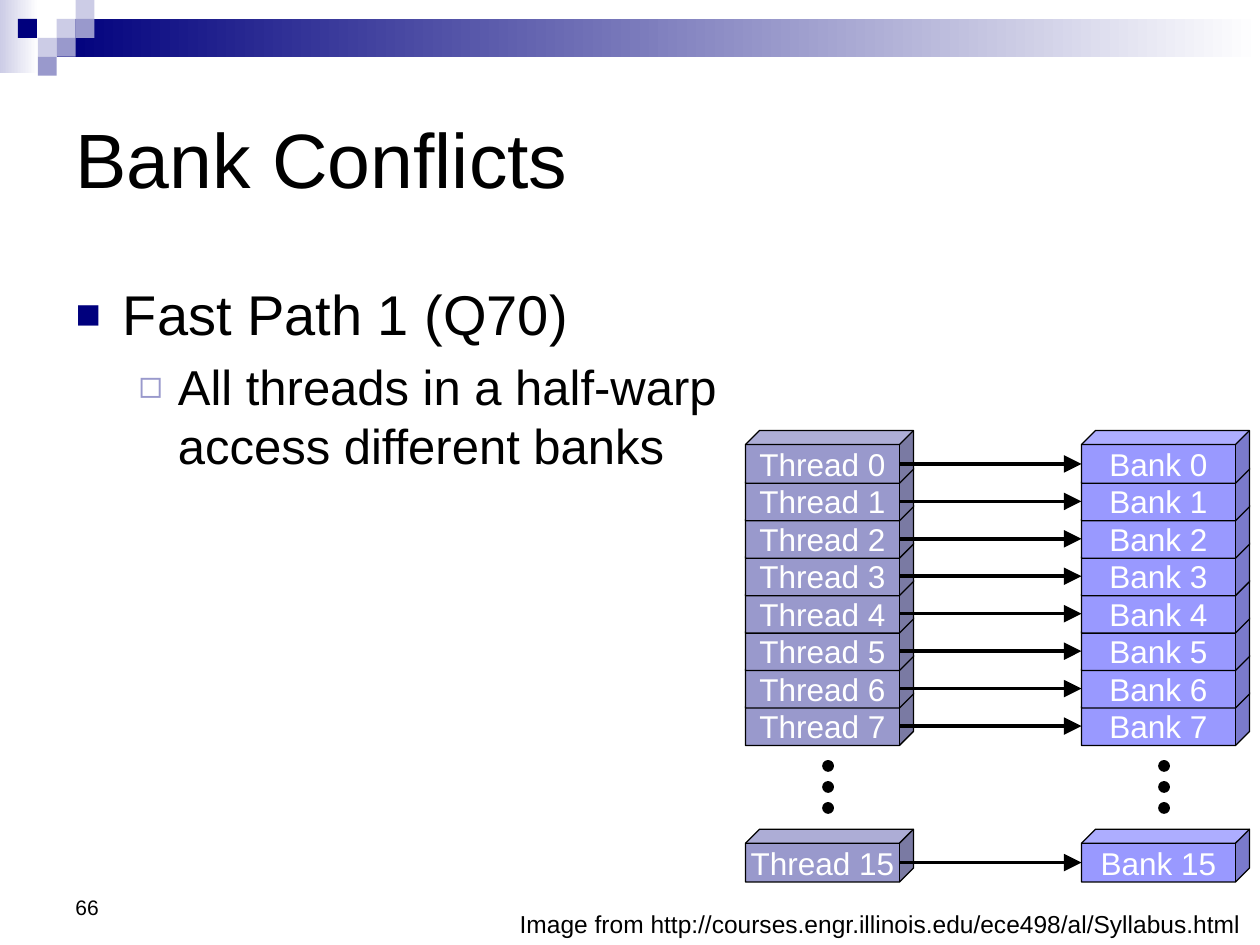
from lxml import etree
from pptx import Presentation
from pptx import util as u
from pptx.dml import color
from pptx.enum import shapes, text
from pptx.oxml import ns

Pt = u.Pt
FONT = "Arial"


def rgb(value):
    return color.RGBColor.from_string(value)


def add_xml(parent, tag, **attributes):
    return etree.SubElement(parent, ns.qn(tag), attributes)


def style(paragraph, size, ink="000000", align=text.PP_ALIGN.LEFT):
    paragraph.alignment = align
    font = paragraph.font
    font.name, font.size = FONT, Pt(size)
    font.color.rgb = rgb(ink)


def place(shape, left, top, width, height):
    shape.left, shape.top = Pt(left), Pt(top)
    shape.width, shape.height = Pt(width), Pt(height)


def add_solid(slide, kind, box, fill, outlined=False):
    shape = slide.shapes.add_shape(kind, *map(Pt, box))
    shape.shadow.inherit = False
    shape.fill.solid()
    shape.fill.fore_color.rgb = rgb(fill)
    if outlined:
        shape.line.color.rgb = rgb("000000")
        shape.line.width = Pt(0.75)
    else:
        shape.line.fill.background()
    return shape


def add_fade(slide, box, start):
    """Rectangle that fades from the start colour to white, left to right."""
    bar = add_solid(slide, shapes.MSO_SHAPE.RECTANGLE, box, start)
    bar.fill.gradient()
    bar.fill.gradient_angle = 0
    for stop, value in zip(bar.fill.gradient_stops, (start, "FFFFFF")):
        stop.color.rgb = rgb(value)


def add_header(slide, left, top, width):
    side = 10.8
    add_fade(slide, (left, top, 22, 42), "CCCCE6")
    add_fade(slide, (left + 3 * side, top + side, width - 3 * side, 2 * side), "00007D")
    tiles = [(3, 1, "CCCCE6"), (4, 0, "CCCCE6"), (4, 1, "9999CC"), (2, 2, "CCCCE6"),
             (0.95, 1, "00007D"), (3, 2, "9999CC"), (2, 3, "9999CC")]
    for column, row, fill in tiles:
        box = (left + column * side, top + row * side, side, side)
        add_solid(slide, shapes.MSO_SHAPE.RECTANGLE, box, fill)


def fill_title(slide, *box):
    title = slide.shapes.title
    place(title, *box)
    frame = title.text_frame
    frame.text = "Bank Conflicts"
    frame.auto_size = text.MSO_AUTO_SIZE.NONE
    frame.vertical_anchor = text.MSO_ANCHOR.MIDDLE
    style(frame.paragraphs[0], 44)


def fill_body(slide, *box):
    body = slide.placeholders[1]
    place(body, *box)
    frame = body.text_frame
    frame.auto_size = text.MSO_AUTO_SIZE.NONE
    frame.margin_top = Pt(4)
    points = [("Fast Path 1 (Q70)", 32, 0, 27, 27, "■", "00007D", 75),
              ("All threads in a half-warp access different banks",
               28, 5.5, 58.5, 22.5, "◻", "9999CC", 80)]
    frame.text = "\n".join(point[0] for point in points)
    for level, (paragraph, point) in enumerate(zip(frame.paragraphs, points)):
        _, size, before, margin, hanging, bullet, tint, percent = point
        paragraph.level = level
        properties = paragraph._p.get_or_add_pPr()
        properties.set("marL", str(Pt(margin)))
        properties.set("indent", str(-Pt(hanging)))
        add_xml(add_xml(properties, "a:buClr"), "a:srgbClr", val=tint)
        add_xml(properties, "a:buSzPct", val=str(percent * 1000))
        add_xml(properties, "a:buFont", typeface=FONT)
        add_xml(properties, "a:buChar", char=bullet)
        paragraph.space_before = Pt(before)
        style(paragraph, size)


def add_cube(slide, box, fill, label):
    cube = add_solid(slide, shapes.MSO_SHAPE.CUBE, box, fill, outlined=True)
    cube.adjustments[0] = 0.266
    frame = cube.text_frame
    frame.word_wrap = False
    frame.vertical_anchor = text.MSO_ANCHOR.MIDDLE
    frame.text = label
    style(frame.paragraphs[0], 18, "FFFFFF", text.PP_ALIGN.CENTER)


def add_arrow(slide, left, right, y):
    arrow = slide.shapes.add_connector(
        shapes.MSO_CONNECTOR.STRAIGHT, Pt(left), Pt(y), Pt(right), Pt(y))
    arrow.line.color.rgb = rgb("000000")
    arrow.line.width = Pt(2)
    add_xml(arrow.line._get_or_add_ln(), "a:tailEnd", type="triangle", w="lg", len="lg")
    add_xml(arrow._element.spPr, "a:effectLst")


def add_bank_map(slide, left, top, width, height):
    """Stacks of threads and banks, joined one to one by arrows."""
    cube_width, cube_height, depth, pitch = 96, 30.2, 8, 21.4
    bank_left = left + width - cube_width
    rows = [(number, top + number * pitch) for number in range(8)]
    rows.append((15, top + height - cube_height))

    for x, name, fill in ((bank_left, "Bank", "9999FF"), (left, "Thread", "9999CC")):
        for number, y in reversed(rows):
            add_cube(slide, (x, y, cube_width, cube_height), fill, f"{name} {number}")
        for dot in range(3):
            box = (x + 44.2, top + 188.7 + 12 * dot, 6, 6)
            add_solid(slide, shapes.MSO_SHAPE.OVAL, box, "000000", outlined=True)

    for _, y in rows:
        add_arrow(slide, left + cube_width - depth, bank_left,
                  y + (depth + cube_height) / 2)


def add_note(slide, box, words, size, align, anchor):
    note = slide.shapes.add_textbox(*map(Pt, box))
    frame = note.text_frame
    frame.word_wrap = True
    frame.vertical_anchor = anchor
    frame.margin_right = Pt(11)
    frame.text = words
    style(frame.paragraphs[0], size, align=align)


def main():
    deck = Presentation()
    deck.slide_width, deck.slide_height = Pt(720), Pt(540)
    slide = deck.slides.add_slide(deck.slide_layouts[1])
    add_header(slide, 0, 0, 720)
    fill_title(slide, 36, 36, 648, 108)
    fill_body(slide, 36, 156, 396, 156)
    add_note(slide, (0, 516, 720, 24),
             "Image from http://courses.engr.illinois.edu/ece498/al/Syllabus.html",
             14, text.PP_ALIGN.RIGHT, text.MSO_ANCHOR.TOP)
    add_bank_map(slide, 426, 246, 288, 258)
    add_note(slide, (36, 492, 168, 37), "66", 12,
             text.PP_ALIGN.LEFT, text.MSO_ANCHOR.BOTTOM)
    deck.save("out.pptx")


if __name__ == "__main__":
    main()
